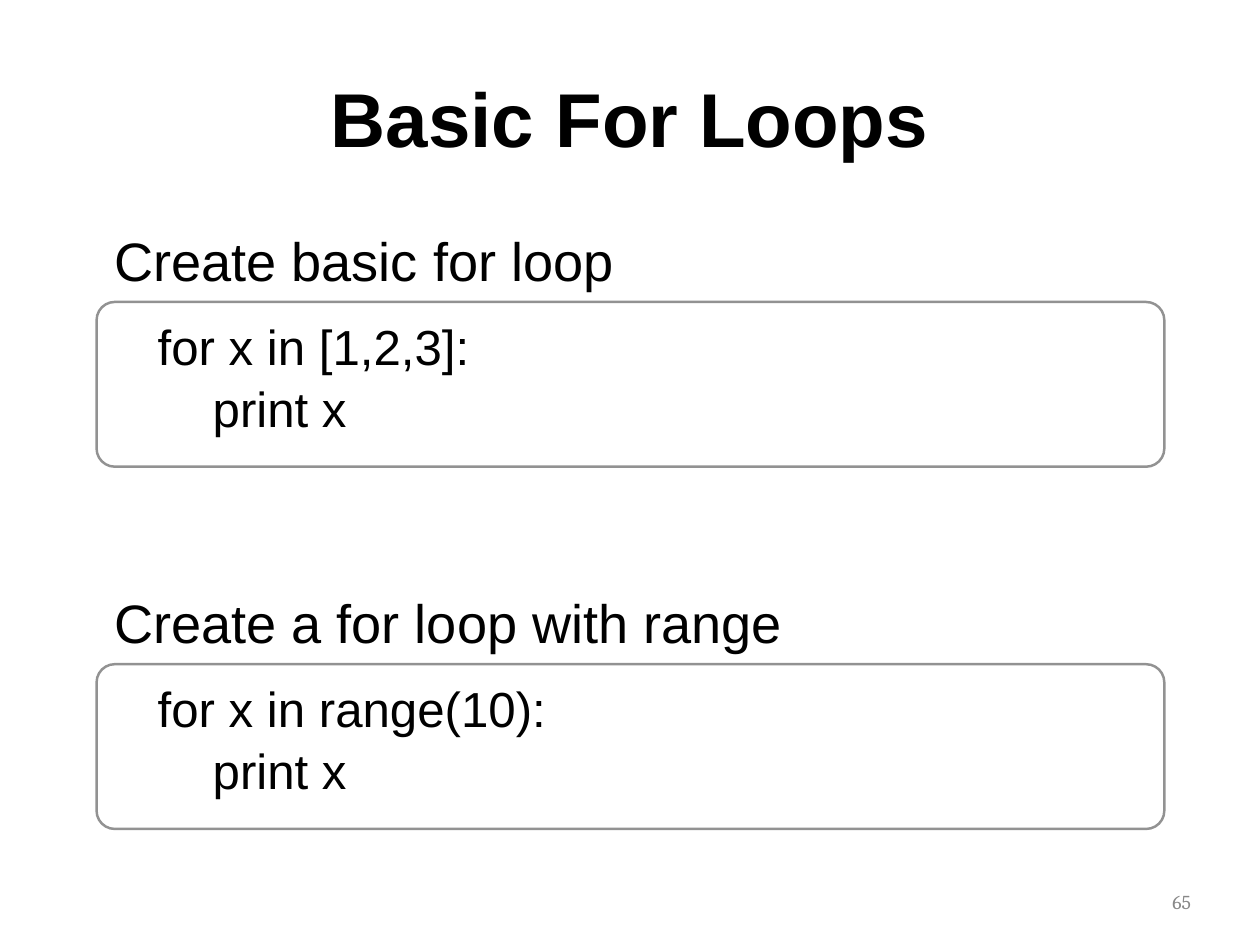
from dataclasses import dataclass

import pptx
import pptx.dml.color
import pptx.enum.shapes
import pptx.enum.text
import pptx.util
from pptx.util import Inches

COLORS = {"text": "000000", "border": "929292", "number": "888888"}
ALIGN = pptx.enum.text.PP_ALIGN
ANCHOR = pptx.enum.text.MSO_ANCHOR
INSET = 0.07
CODE_INDENT = 0.56
BLOCK_INDENT = 0.62


@dataclass
class Style:
    size: float
    font: str = "Arial"
    color: str = "text"
    bold: bool = False
    align: ALIGN = ALIGN.LEFT
    anchor: ANCHOR = ANCHOR.TOP


@dataclass
class Example:
    top: float
    heading: str
    code: list[tuple[int, str]]  # nesting level, statement


TITLE = Style(62, bold=True, align=ALIGN.CENTER, anchor=ANCHOR.MIDDLE)
NUMBER = Style(16, "Cambria", "number", align=ALIGN.RIGHT, anchor=ANCHOR.MIDDLE)
HEADING = Style(44)
CODE = Style(40)

EXAMPLES = [
    Example(2.5, "Create basic for loop",
            [(0, "for x in [1,2,3]:"), (1, "print x")]),
    Example(6.59, "Create a for loop with range",
            [(0, "for x in range(10):"), (1, "print x")]),
]


def rgb(name: str) -> pptx.dml.color.RGBColor:
    return pptx.dml.color.RGBColor.from_string(COLORS[name])


def write(s, lines: list[str], style: Style) -> None:
    tf = s.text_frame
    tf.word_wrap = True
    tf.vertical_anchor = style.anchor
    tf.margin_left = tf.margin_right = Inches(INSET)
    tf.margin_top = tf.margin_bottom = Inches(INSET)
    for i, line in enumerate(lines):
        p = tf.add_paragraph() if i else tf.paragraphs[0]
        p.text = line
        p.alignment = style.align
        p.font.size = pptx.util.Pt(style.size)
        p.font.name = style.font
        p.font.bold = style.bold
        p.font.color.rgb = rgb(style.color)


def add_text(slide, left: float, top: float, width: float, height: float,
             text: str, style: Style) -> None:
    s = slide.shapes.add_textbox(
        Inches(left), Inches(top), Inches(width), Inches(height))
    write(s, [text], style)


def add_code_box(slide, top: float, code: list[tuple[int, str]]) -> None:
    s = slide.shapes.add_shape(
        pptx.enum.shapes.MSO_SHAPE.ROUNDED_RECTANGLE,
        Inches(1.09), Inches(top), Inches(12.05), Inches(1.86))
    s.adjustments[0] = 0.11
    s.shadow.inherit = False
    s.fill.background()
    s.line.color.rgb = rgb("border")
    s.line.width = pptx.util.Pt(2)
    write(s, [line for _, line in code], CODE)
    for p, (level, _) in zip(s.text_frame.paragraphs, code):
        p.line_spacing = 1.05
        indent = Inches(CODE_INDENT + level * BLOCK_INDENT)
        p._p.get_or_add_pPr().set("indent", str(indent))


def add_example(slide, example: Example) -> None:
    add_code_box(slide, example.top + 0.91, example.code)
    add_text(slide, 1.22, example.top, 11.77, 0.88, example.heading, HEADING)


def main() -> None:
    prs = pptx.Presentation()
    prs.slide_width, prs.slide_height = Inches(14.22), Inches(10.67)
    slide = prs.slides.add_slide(prs.slide_layouts[6])
    add_text(slide, 0.71, 0.14, 12.8, 2.35, "Basic For Loops", TITLE)
    add_text(slide, 10.19, 9.97, 3.32, 0.41, "65", NUMBER)
    for example in EXAMPLES:
        add_example(slide, example)
    prs.save("out.pptx")


if __name__ == "__main__":
    main()
